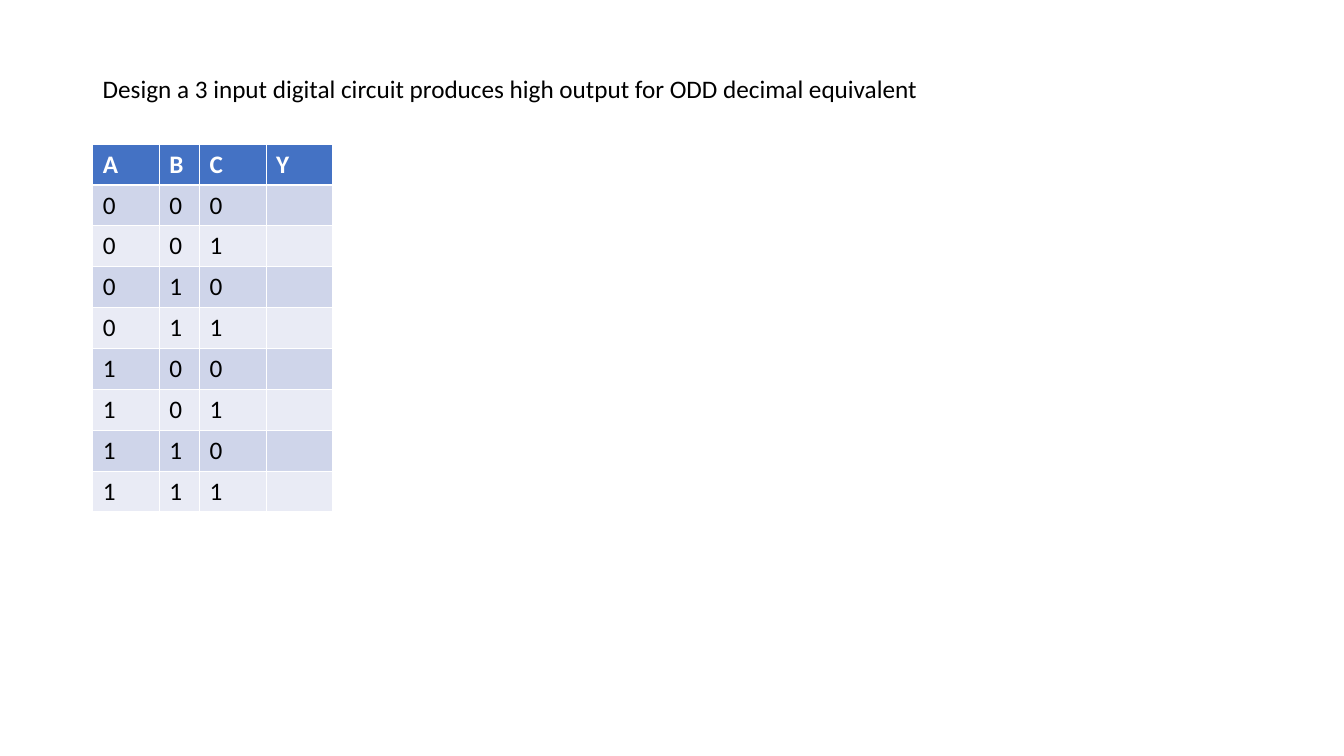
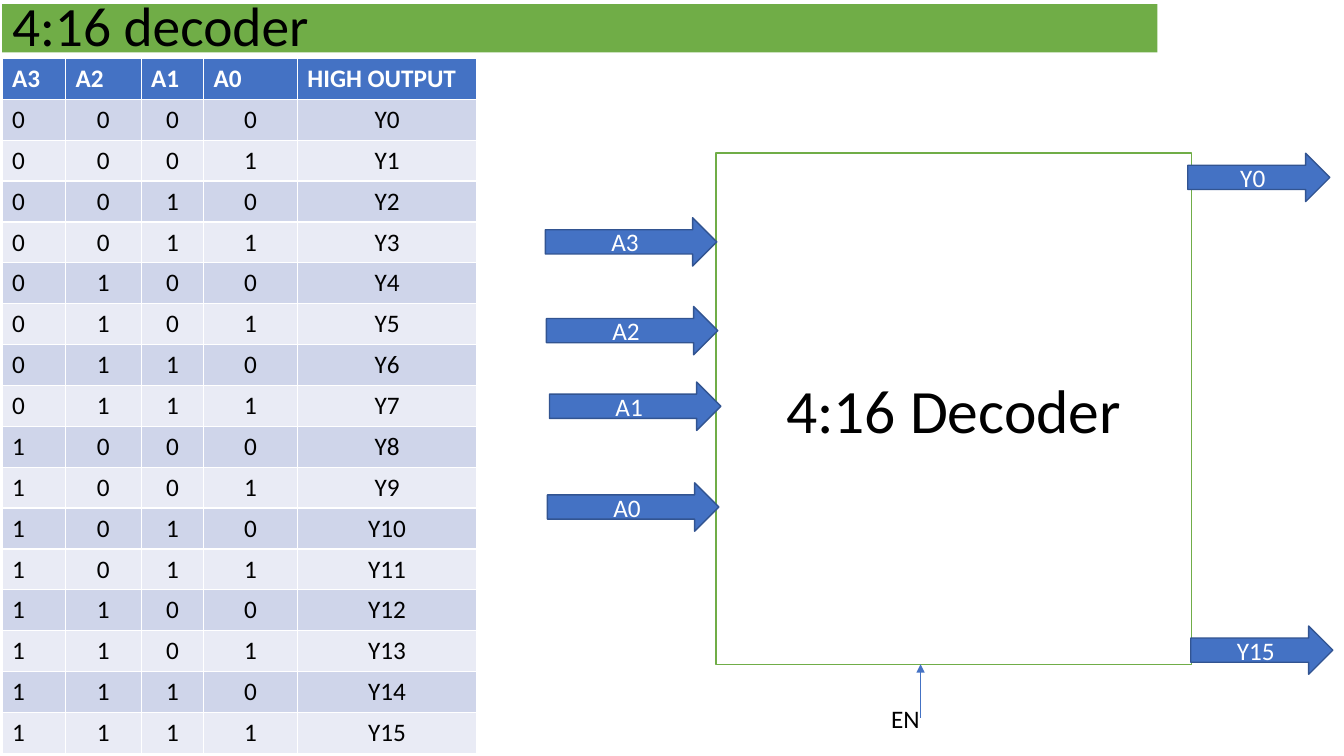
import itertools
from dataclasses import dataclass

import lxml.etree
import pptx
import pptx.dml.color
import pptx.enum.shapes
import pptx.enum.text
import pptx.oxml.ns
import pptx.util

Inches = pptx.util.Inches
Pt = pptx.util.Pt
Color = pptx.dml.color.RGBColor.from_string
Align = pptx.enum.text.PP_ALIGN
Anchor = pptx.enum.text.MSO_ANCHOR
Shape = pptx.enum.shapes.MSO_SHAPE


@dataclass(frozen=True)
class Theme:
    font: str = "Calibri"
    dark: str = "000000"
    light: str = "FFFFFF"
    blue: str = "4472C4"
    blue_edge: str = "325491"
    green: str = "70AD47"
    bands: tuple = ("CFD5EA", "E9EBF5")
    title_size: float = 39.6
    block_size: float = 44
    text_size: float = 18


theme = Theme()


def write(target, text, size=theme.text_size, color=theme.dark, align=Align.LEFT, bold=False):
    """Put one formatted paragraph into a shape or table cell."""
    target.text_frame.text = text
    para = target.text_frame.paragraphs[0]
    para.alignment = align
    para.font.name = theme.font
    para.font.size = Pt(size)
    para.font.bold = bold
    para.font.color.rgb = Color(color)
    return para


def add_truth_table(page, left, top, widths, rows, centred_from):
    """Add a table with a blue header; columns from centred_from on are centred."""
    row_height = Inches(0.4056)
    table = page.shapes.add_table(
        len(rows), len(widths), Inches(left), Inches(top),
        Inches(sum(widths)), row_height * len(rows)).table
    for column, width in zip(table.columns, widths):
        column.width = Inches(width)
    for row_index, row in enumerate(rows):
        table.rows[row_index].height = row_height
        header = row_index == 0
        for column_index, text in enumerate(row):
            cell = table.cell(row_index, column_index)
            cell.fill.solid()
            cell.fill.fore_color.rgb = Color(theme.blue if header else theme.bands[(row_index - 1) % 2])
            centred = not header and column_index >= centred_from
            write(cell, text, color=theme.light if header else theme.dark,
                  align=Align.CENTER if centred else Align.LEFT, bold=header)


deck = pptx.Presentation()
deck.slide_width, deck.slide_height = Inches(13.33), Inches(7.5)

# Slide 1: exercise with an open output column
page = deck.slides.add_slide(deck.slide_layouts[6])
question = page.shapes.add_textbox(Inches(0.92), Inches(0.68), Inches(8.39), Inches(0.4))
question.text_frame.word_wrap = False
write(question, "Design a 3 input digital circuit produces high output for ODD decimal equivalent")
rows = [("A", "B", "C", "Y")] + [(*bits, "") for bits in itertools.product("01", repeat=3)]
add_truth_table(page, 0.92, 1.43, (0.66, 0.4, 0.66, 0.66), rows, centred_from=4)

# Slide 2: title band
page = deck.slides.add_slide(deck.slide_layouts[5])
title = page.shapes.title
title.left, title.top, title.width, title.height = (
    Inches(length) for length in (0.02, 0.04, 11.46, 0.48))
title.fill.solid()
title.fill.fore_color.rgb = Color(theme.green)
title.text_frame.auto_size = pptx.enum.text.MSO_AUTO_SIZE.NONE
title.text_frame.vertical_anchor = Anchor.MIDDLE
write(title, "4:16 decoder", size=theme.title_size).line_spacing = 0.9

# Truth table of the decoder
rows = [("A3", "A2", "A1", "A0", "HIGH OUTPUT")] + [
    (*bits, f"Y{number}") for number, bits in enumerate(itertools.product("01", repeat=4))]
add_truth_table(page, 0.02, 0.58, (0.63, 0.75, 0.62, 0.93, 1.78), rows, centred_from=1)

# Decoder block with its input and output arrows
block_style = (theme.light, theme.green, theme.dark, theme.block_size)
arrow_style = (theme.blue, theme.blue_edge, theme.light, theme.text_size)
diagram = [("4:16 Decoder", Shape.RECTANGLE, 7.1, 1.52, 4.72, 5.07, block_style)]
for label, left, top, width in (
        ("A3", 5.41, 2.16, 1.7), ("A2", 5.42, 3.04, 1.7),
        ("A1", 5.45, 3.79, 1.7), ("A0", 5.43, 4.79, 1.7),
        ("Y0", 11.78, 1.52, 1.41), ("Y15", 11.81, 6.21, 1.41)):
    diagram.append((label, Shape.RIGHT_ARROW, left, top, width, 0.48, arrow_style))
for label, kind, left, top, width, height, (fill, edge, color, size) in diagram:
    box = page.shapes.add_shape(kind, Inches(left), Inches(top), Inches(width), Inches(height))
    box.shadow.inherit = False
    box.fill.solid()
    box.fill.fore_color.rgb = Color(fill)
    box.line.color.rgb = Color(edge)
    box.line.width = Pt(1)
    box.text_frame.vertical_anchor = Anchor.MIDDLE
    write(box, label, size, color, Align.CENTER)

# Enable input
enable = page.shapes.add_connector(
    pptx.enum.shapes.MSO_CONNECTOR.STRAIGHT, Inches(9.13), Inches(7.12), Inches(9.13), Inches(6.59))
enable.line.color.rgb = Color(theme.blue)
enable.line.width = Pt(0.5)
lxml.etree.SubElement(enable.line._get_or_add_ln(), pptx.oxml.ns.qn("a:tailEnd"), type="triangle")
lxml.etree.SubElement(enable._element.spPr, pptx.oxml.ns.qn("a:effectLst"))
enable_label = page.shapes.add_textbox(Inches(8.74), Inches(6.93), Inches(0.49), Inches(0.4))
enable_label.text_frame.word_wrap = False
write(enable_label, "EN")

deck.save("out.pptx")
